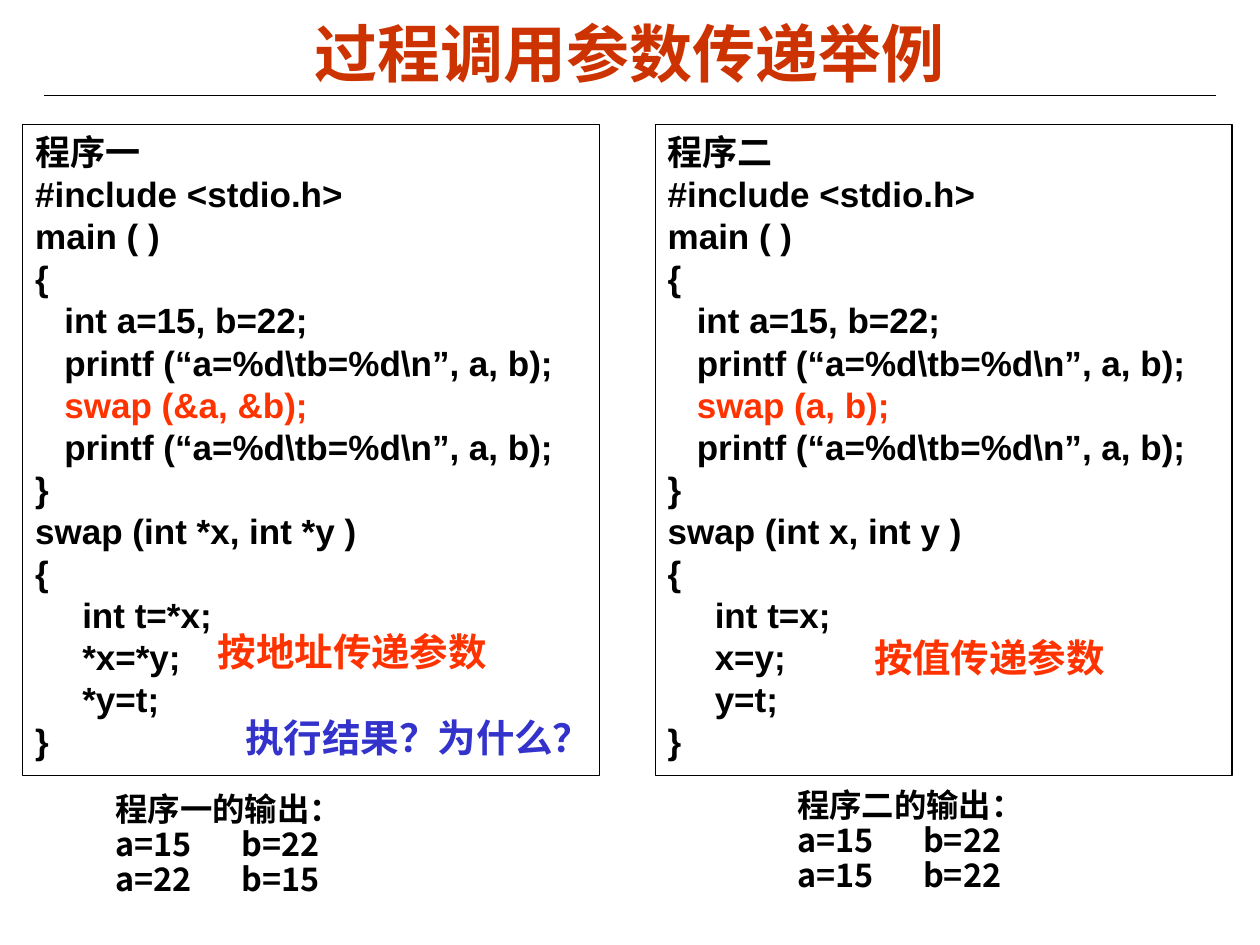
from dataclasses import dataclass

from lxml.etree import SubElement
from pptx import Presentation
from pptx.dml.color import RGBColor
from pptx.enum.shapes import MSO_CONNECTOR, MSO_SHAPE
from pptx.enum.text import MSO_ANCHOR, PP_ALIGN
from pptx.oxml.ns import qn
from pptx.util import Cm, Pt

COLORS = {
    "title": "CC3300",
    "text": "000000",
    "accent": "FF3300",
    "question": "3333CC",
    "paper": "FFFFFF",
}
LATIN, CJK = "Arial", "Noto Sans CJK SC"
PITCH = 1.2  # line height relative to the font size
HANG = 0.95  # hanging indent of the code, cm
TAB = 2.54  # tab stop of the program output, cm


@dataclass
class Box:
    left: float
    top: float
    width: float
    height: float


@dataclass
class Style:
    size: float
    font: str = CJK
    color: str = "text"
    align: PP_ALIGN = PP_ALIGN.LEFT
    spacing: float = PITCH
    hang: float = 0
    tab: float = 0
    inset: float = 0.13
    anchor: MSO_ANCHOR = MSO_ANCHOR.TOP


@dataclass
class Program:
    number: str
    call: str
    params: str
    body: tuple[str, ...]
    output: tuple[str, ...]
    method: str
    code_box: Box
    output_box: Box
    method_box: Box


def rgb(name: str) -> RGBColor:
    return RGBColor.from_string(COLORS[name])


def add_run(p, text: str, style: Style, color: str) -> None:
    r = p.add_run()
    r.text = text
    r.font.name, r.font.size, r.font.bold = style.font, Pt(style.size), True
    r.font.color.rgb = rgb(color)
    SubElement(r._r.get_or_add_rPr(), qn("a:ea"), typeface=CJK)


def write_lines(sp, lines: list[str], style: Style, accent: str = "") -> None:
    """Write one paragraph per line; the accent text gets its own run."""
    tf = sp.text_frame
    tf.word_wrap = True
    tf.vertical_anchor = style.anchor
    tf.margin_left = tf.margin_right = Cm(0.25)
    tf.margin_top = tf.margin_bottom = Cm(style.inset)
    for i, line in enumerate(lines):
        p = tf.add_paragraph() if i else tf.paragraphs[0]
        pPr = p._p.get_or_add_pPr()
        if style.hang:
            pPr.set("marL", str(Cm(style.hang)))
            pPr.set("indent", str(-Cm(style.hang)))
        if style.tab:
            tabs = SubElement(pPr, qn("a:tabLst"))
            SubElement(tabs, qn("a:tab"), pos=str(Cm(style.tab)), algn="l")
        p.alignment = style.align
        p.line_spacing = Pt(round(style.size * style.spacing, 1))
        if accent and line.strip() == accent:
            add_run(p, line[:-len(accent)], style, style.color)
            add_run(p, accent, style, "accent")
        else:
            add_run(p, line, style, style.color)


def add_text(s, box: Box, lines: list[str], style: Style) -> None:
    sp = s.shapes.add_textbox(Cm(box.left), Cm(box.top), Cm(box.width), Cm(box.height))
    write_lines(sp, lines, style)


def add_code(s, program: Program) -> None:
    box = program.code_box
    sp = s.shapes.add_shape(MSO_SHAPE.RECTANGLE, Cm(box.left), Cm(box.top),
                            Cm(box.width), Cm(box.height))
    sp.shadow.inherit = False
    sp.fill.background()
    sp.line.color.rgb = rgb("text")
    sp.line.width = Pt(0.75)
    printf = r"   printf (“a=%d\tb=%d\n”, a, b);"
    lines = [
        f"程序{program.number}", "#include <stdio.h>", "main ( )", "{ ",
        "   int a=15, b=22;", printf, f"   {program.call}", printf, "}",
        f"swap ({program.params} )", "{",
        *(f"\t{line}" for line in program.body), "}",
    ]
    write_lines(sp, lines, CODE, program.call)


def add_rule(s, left: float, right: float, y: float) -> None:
    line = s.shapes.add_connector(MSO_CONNECTOR.STRAIGHT, Cm(left), Cm(y), Cm(right), Cm(y))
    line.line.color.rgb = rgb("text")
    line.line.width = Pt(0.75)
    SubElement(line._element.spPr, qn("a:effectLst"))


TITLE = Style(36, LATIN, "title", PP_ALIGN.CENTER, anchor=MSO_ANCHOR.MIDDLE)
CODE = Style(20, LATIN, align=PP_ALIGN.JUSTIFY, hang=HANG)
OUTPUT = Style(18.5, align=PP_ALIGN.JUSTIFY, spacing=0.9 * PITCH, tab=TAB, inset=0)
METHOD = Style(22, color="accent")
QUESTION = Style(22, color="question")

PROGRAMS = [
    Program("一", "swap (&a, &b);", "int *x, int *y",
            ("int t=*x;", "*x=*y;", "*y=t;"), ("a=15\tb=22", "a=22\tb=15"),
            "按地址传递参数", Box(0.46, 2.51, 11.63, 13.13),
            Box(2.08, 15.98, 6.5, 2.41), Box(4.14, 12.52, 7.82, 1.19)),
    Program("二", "swap (a, b);", "int x, int y",
            ("int t=x;", "x=y;", "y=t;"), ("a=15\tb=22", "a=15\tb=22"),
            "按值传递参数", Box(13.21, 2.51, 11.63, 13.13),
            Box(15.82, 15.9, 6.15, 2.49), Box(17.37, 12.65, 7.06, 1.19)),
]


def main() -> None:
    prs = Presentation()
    prs.slide_width, prs.slide_height = Cm(25.4), Cm(19.05)
    s = prs.slides.add_slide(prs.slide_layouts[6])
    s.background.fill.solid()
    s.background.fill.fore_color.rgb = rgb("paper")

    # Heading
    add_rule(s, 0.89, 24.51, 1.93)
    add_text(s, Box(1.27, 0.28, 22.86, 1.55), ["过程调用参数传递举例"], TITLE)

    # Programs with their output and passing method
    for program in PROGRAMS:
        add_text(s, program.output_box,
                 [f"程序{program.number}的输出：", *program.output], OUTPUT)
        add_code(s, program)
        add_text(s, program.method_box, [program.method], METHOD)

    # Question
    add_text(s, Box(4.7, 14.27, 7.6, 1.19), ["执行结果？为什么？"], QUESTION)

    prs.save("out.pptx")


if __name__ == "__main__":
    main()
